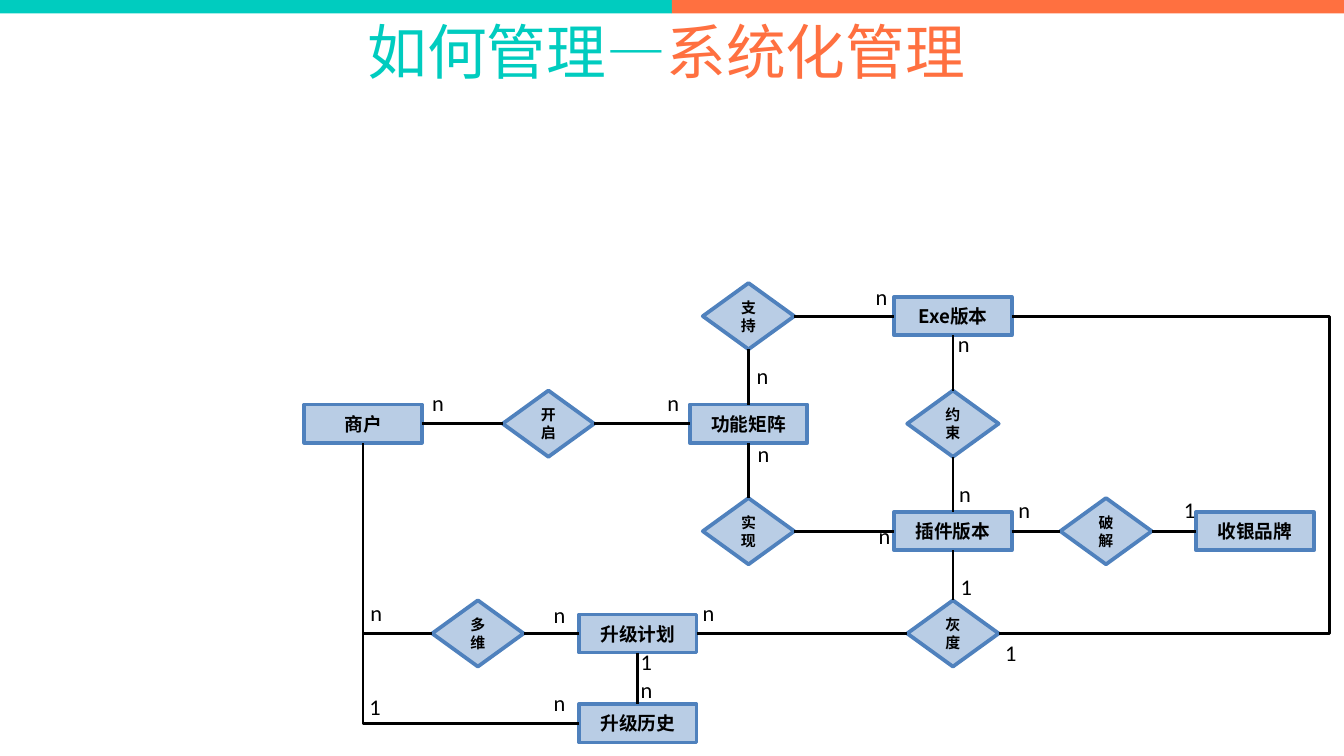
from dataclasses import dataclass

from pptx import Presentation
from pptx.dml.color import RGBColor as Color
from pptx.enum.shapes import MSO_CONNECTOR as Route, MSO_SHAPE as Shape
from pptx.enum.text import MSO_ANCHOR as Anchor, MSO_AUTO_SIZE as Fit, PP_ALIGN as Align
from pptx.oxml.ns import qn
from pptx.util import Pt
from lxml.etree import SubElement

TOP, LEFT, BOTTOM, RIGHT = range(4)


@dataclass(frozen=True)
class Theme:
    teal: str = "00CCBF"
    orange: str = "FF7040"
    fill: str = "B9CDE5"
    edge: str = "4F81BD"
    ink: str = "000000"
    chinese: str = "Noto Sans CJK SC"
    latin: str = "Calibri"
    title: float = 32
    entity: float = 10
    relation: float = 8
    label: float = 12


class DiagramPage:
    """Draws an entity-relationship diagram on one page."""

    def __init__(self, page, theme):
        self.page = page
        self.theme = theme

    def style(self, para, font, size, bold=False):
        para.alignment = Align.CENTER
        para.font.name = font
        para.font.size = Pt(size)
        para.font.bold = bold
        para.font.color.rgb = Color.from_string(self.theme.ink)
        SubElement(para.font._element, qn("a:ea")).set("typeface", font)

    def inset(self, frame, margin, anchor):
        frame.margin_left = frame.margin_right = Pt(margin)
        frame.margin_top = frame.margin_bottom = Pt(margin)
        frame.vertical_anchor = anchor
        frame.auto_size = Fit.NONE

    def block(self, kind, left, top, width, height, fill):
        box = self.page.shapes.add_shape(kind, Pt(left), Pt(top), Pt(width), Pt(height))
        box.shadow.inherit = False
        box.fill.solid()
        box.fill.fore_color.rgb = Color.from_string(fill)
        box.line.fill.background()
        return box

    def title(self, parts):
        box = self.page.shapes.title
        box.left, box.top, box.width, box.height = Pt(150.5), Pt(8), Pt(413), Pt(39)
        self.inset(box.text_frame, 0, Anchor.TOP)
        para = box.text_frame.paragraphs[0]
        self.style(para, self.theme.chinese, self.theme.title)
        for text, color in parts:
            span = para.add_run()
            span.text = text
            span.font.color.rgb = Color.from_string(color)

    def node(self, kind, text, x, y, width, height, size):
        box = self.block(kind, x - width / 2, y - height / 2, width, height, self.theme.fill)
        box.line.color.rgb = Color.from_string(self.theme.edge)
        box.line.width = Pt(2)
        frame = box.text_frame
        self.inset(frame, 4.5, Anchor.MIDDLE)
        frame.word_wrap = True
        frame.text = text
        self.style(frame.paragraphs[0], self.theme.chinese, size, True)
        return box

    def entity(self, text, x, y):
        return self.node(Shape.RECTANGLE, text, x, y, 63, 20.5, self.theme.entity)

    def relation(self, text, x, y):
        return self.node(Shape.DIAMOND, text, x, y, 49, 35.5, self.theme.relation)

    def link(self, start, start_side, end, end_side, route=Route.STRAIGHT):
        line = self.page.shapes.add_connector(route, 0, 0, 0, 0)
        line.begin_connect(start, start_side)
        line.end_connect(end, end_side)
        line.line.color.rgb = Color.from_string(self.theme.ink)
        line.line.width = Pt(1.5)
        SubElement(line._element.spPr, qn("a:effectLst"))
        return line

    def corner(self, start, start_side, end, end_side):
        line = self.link(start, start_side, end, end_side, Route.ELBOW)
        line._element.spPr.find(qn("a:prstGeom")).set("prst", "bentConnector2")

    def detour(self, start, start_side, end, end_side, turn_x):
        line = self.link(start, start_side, end, end_side, Route.ELBOW)
        share = (Pt(turn_x) - line.begin_x) / (line.end_x - line.begin_x)
        geometry = line._element.spPr.find(qn("a:prstGeom"))
        guide = SubElement(geometry.get_or_add_avLst(), qn("a:gd"))
        guide.set("name", "adj1")
        guide.set("fmla", f"val {round(share * 100000)}")

    def label(self, text, x, y):
        width, height = 13, 22
        box = self.page.shapes.add_textbox(
            Pt(x - width / 2), Pt(y - height / 2), Pt(width), Pt(height))
        self.inset(box.text_frame, 4.5, Anchor.MIDDLE)
        box.text_frame.word_wrap = False
        box.text_frame.text = text
        self.style(box.text_frame.paragraphs[0], self.theme.latin, self.theme.label)


def main():
    deck = Presentation()
    deck.slide_width, deck.slide_height = Pt(720), Pt(405)
    theme = Theme()
    diagram = DiagramPage(deck.slides.add_slide(deck.slide_layouts[5]), theme)

    for column, color in enumerate((theme.teal, theme.orange)):
        diagram.block(Shape.RECTANGLE, column * 360, 0, 360, 7.2, color)
    diagram.title([("如何管理—", theme.teal), ("系统化管理", theme.orange)])

    merchant_x, plan_x, matrix_x, version_x = 194.5, 341.7, 401, 510.5
    exe_y, matrix_y, plugin_y = (169.4 + 57.6 * row for row in range(3))
    plan_y, history_y = 339.4, 387.5

    exe = diagram.entity("Exe版本", version_x, exe_y)
    plugin = diagram.entity("插件版本", version_x, plugin_y)
    matrix = diagram.entity("功能矩阵", matrix_x, matrix_y)
    merchant = diagram.entity("商户", merchant_x, matrix_y)
    brand = diagram.entity("收银品牌", 672.3, plugin_y)
    plan = diagram.entity("升级计划", plan_x, plan_y)
    history = diagram.entity("升级历史", plan_x, history_y)

    constrain = diagram.relation("约束", version_x, matrix_y)
    enable = diagram.relation("开启", 293.8, matrix_y)
    support = diagram.relation("支持", matrix_x, exe_y)
    realise = diagram.relation("实现", matrix_x, plugin_y)
    adapt = diagram.relation("破解", 592.5, plugin_y)
    rollout = diagram.relation("灰度", version_x, plan_y)
    facets = diagram.relation("多维", 256, plan_y)

    for left, right in ((support, exe), (merchant, enable), (enable, matrix),
                        (realise, plugin), (plugin, adapt), (adapt, brand),
                        (facets, plan), (plan, rollout)):
        diagram.link(left, RIGHT, right, LEFT)
    for upper, lower in ((exe, constrain), (constrain, plugin), (plugin, rollout),
                         (support, matrix), (matrix, realise), (plan, history)):
        diagram.link(upper, BOTTOM, lower, TOP)
    for target in (facets, history):
        diagram.corner(target, LEFT, merchant, BOTTOM)
    diagram.detour(rollout, RIGHT, exe, RIGHT, 712.3)

    labels = {
        "n": ((516.3, 184), (517, 264.6), (548.7, 273.2), (472.3, 158.8),
              (408.5, 201.2), (473.8, 287), (409, 243), (360.7, 215.6),
              (234.7, 215.6), (346.3, 369.7), (299.7, 329.4), (201.6, 328),
              (299.7, 376.2), (379.5, 328)),
        "1": ((637.2, 273.2), (346.3, 354.6), (200.9, 378.4),
              (517.7, 314.3), (541.5, 349.6)),
    }
    for text, places in labels.items():
        for x, y in places:
            diagram.label(text, x, y)

    deck.save("out.pptx")


if __name__ == "__main__":
    main()
